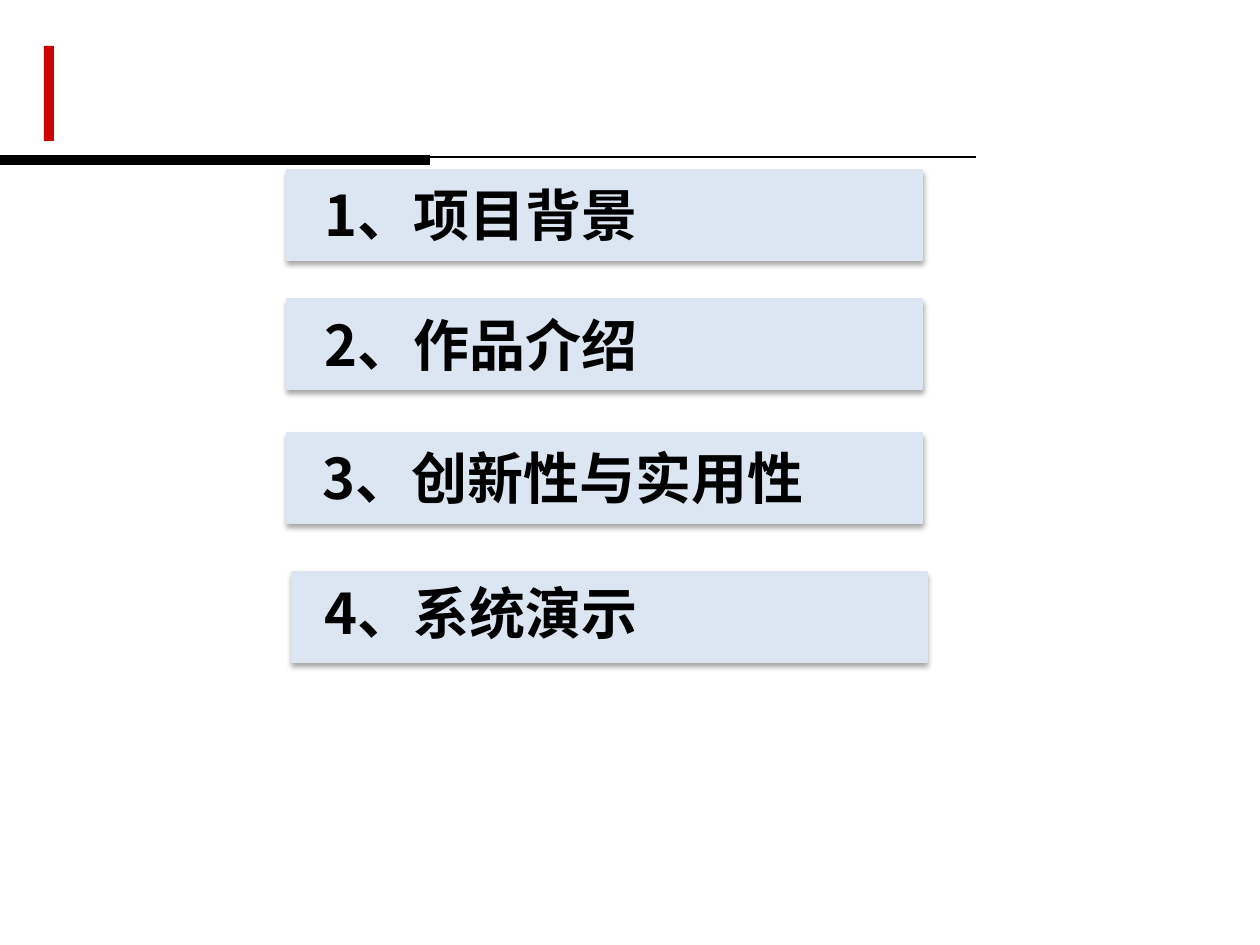
"""Build the agenda slide with four numbered entries."""
from lxml import etree
from pptx import Presentation, util as u
from pptx.dml.color import RGBColor
from pptx.enum import shapes, text
from pptx.oxml import ns

PX = 914400 / 126
FONT = "Noto Sans CJK SC"
COLORS = {"rule": "000000", "accent": "CC0000", "bar": "DCE6F2", "ink": "000000"}
BAR_SIZE = (635, 90)
LABEL_SIZE = (586, 81)
ENTRIES = [
    ("1、项目背景", (287, 170), (25, 4)),
    ("2、作品介绍", (287, 299), (25, 5)),
    ("3、创新性与实用性", (287, 433), (23, 4)),
    ("4、系统演示", (292, 572), (20, 0)),
]


def px(*lengths):
    """Turn pixel lengths into EMU."""
    return [u.Emu(round(length * PX)) for length in lengths]


def color(name):
    """Look up a colour of the slide."""
    return RGBColor.from_string(COLORS[name])


def add_child(parent, tag, **attributes):
    """Append a DrawingML element to a parent."""
    return etree.SubElement(parent, ns.qn(tag), attributes)


def add_rect(slide, left, top, width, height, fill):
    """Draw a filled rectangle without outline or shadow."""
    rect = slide.shapes.add_shape(
        shapes.MSO_SHAPE.RECTANGLE, *px(left, top, width, height))
    rect.fill.solid()
    rect.fill.fore_color.rgb = color(fill)
    rect.line.fill.background()
    rect.shadow.inherit = False
    return rect


def add_rule(slide, start, end, y, weight):
    """Draw a horizontal rule of the header."""
    rule = slide.shapes.add_connector(
        shapes.MSO_CONNECTOR.STRAIGHT, *px(start, y, end, y))
    rule.line.color.rgb = color("rule")
    rule.line.width = u.Pt(weight)
    add_child(rule._element.spPr, "a:effectLst")


def add_header(slide, left, top):
    """Draw the header rules and the red accent."""
    add_rule(slide, left, left + 976, top + 157, 1.5)
    add_rule(slide, left, left + 430, top + 160, 6)
    add_rect(slide, left + 44, top + 46, 10, 95, "accent")


def add_entry_bar(slide, left, top):
    """Draw the softly shadowed bar of an entry."""
    bar = add_rect(slide, left, top, *BAR_SIZE, "bar")
    bar.line.color.rgb = color("bar")
    bar.line.width = u.Pt(0.75)
    effects = bar._element.spPr.find(ns.qn("a:effectLst"))
    shadow = add_child(effects, "a:outerShdw", blurRad=str(u.Pt(3.1)),
                       dist=str(u.Pt(1.8)), dir="5400000", rotWithShape="0")
    shade = add_child(shadow, "a:srgbClr", val="000000")
    add_child(shade, "a:alpha", val="35000")


def add_entry(slide, wording, left, top, inset):
    """Place an entry's bar and its wording."""
    add_entry_bar(slide, left, top)
    label = slide.shapes.add_textbox(
        *px(left + inset[0], top + inset[1], *LABEL_SIZE))
    frame = label.text_frame
    frame.word_wrap = True
    frame.auto_size = text.MSO_AUTO_SIZE.SHAPE_TO_FIT_TEXT
    run = frame.paragraphs[0].add_run()
    run.text = wording
    run.font.size = u.Pt(32)
    run.font.bold = True
    run.font.color.rgb = color("ink")
    run.font.name = FONT
    add_child(run.font._element, "a:ea", typeface=FONT)


def main():
    """Build and save the presentation."""
    deck = Presentation()
    deck.slide_width, deck.slide_height = px(1260, 945)
    agenda = deck.slides.add_slide(deck.slide_layouts[6])
    add_header(agenda, 0, 0)
    for wording, corner, inset in ENTRIES:
        add_entry(agenda, wording, *corner, inset)
    deck.save("out.pptx")


if __name__ == "__main__":
    main()
